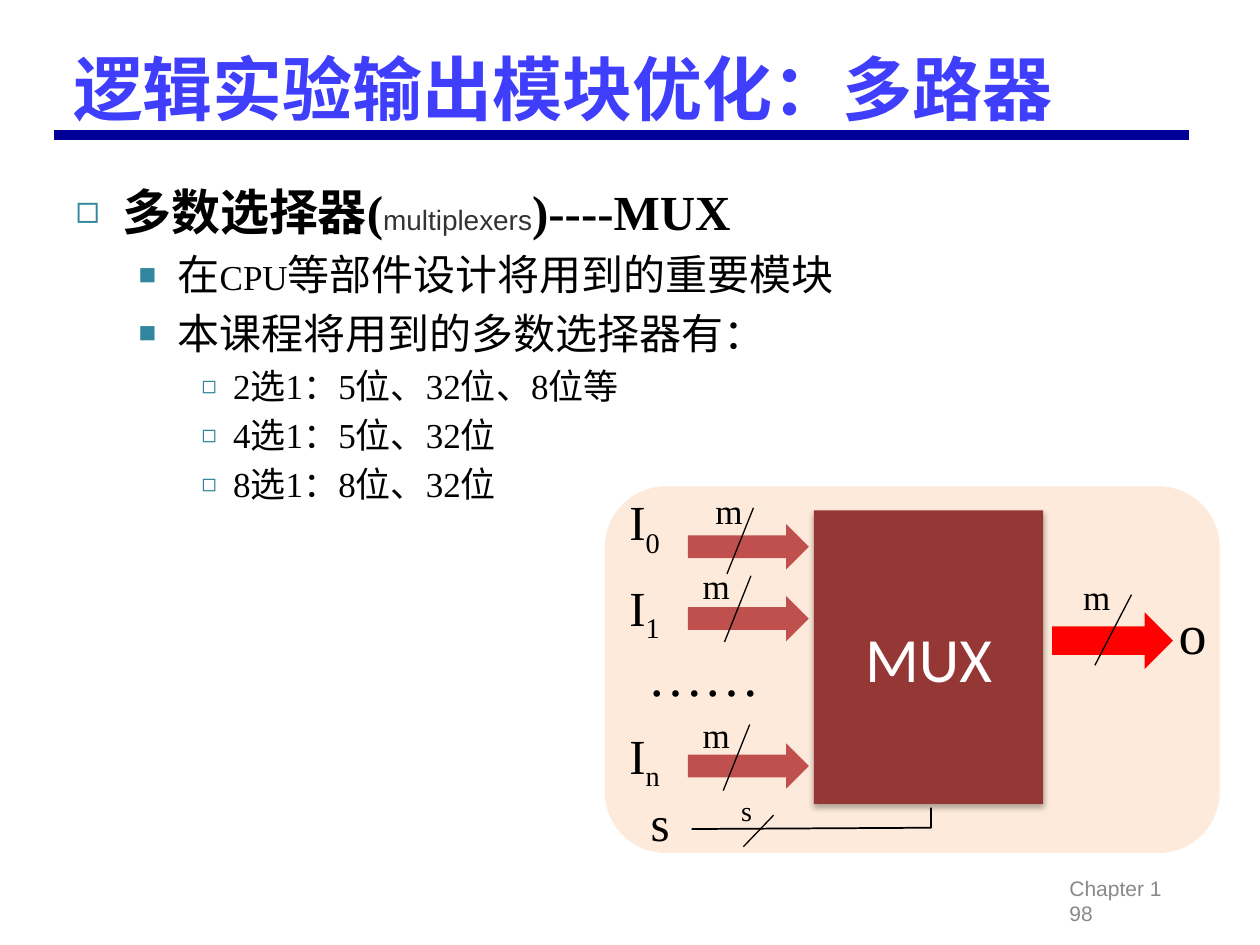
"""Builds a slide on multiplexers with a bullet list and a MUX block diagram."""
from dataclasses import dataclass

from lxml.etree import SubElement
from pptx import Presentation
from pptx.dml.color import RGBColor
from pptx.enum.shapes import MSO_CONNECTOR as Link, MSO_SHAPE as Shape
from pptx.enum.text import MSO_ANCHOR as Anchor, MSO_AUTO_SIZE as Fit, PP_ALIGN as Align
from pptx.oxml.ns import qn
from pptx.util import Emu, Inches, Pt

COLORS = {
    "title": "3E3EFC", "rule": "000099", "bullet": "31859C", "black": "000000",
    "gray": "333333", "footer": "898989", "panel": "FDEADA", "mux": "953735",
    "input": "C0504D", "output": "FF0000", "white": "FFFFFF",
}
SERIF, SANS = "Times New Roman", "Arial"
COLUMNS, ROWS = 100, 75

deck = Presentation()
deck.slide_width, deck.slide_height = Inches(10), Inches(7.5)
page = deck.slides.add_slide(deck.slide_layouts[1])


@dataclass
class Level:
    sign: str
    size: int
    indent: float
    hanging: float


@dataclass
class Item:
    level: int
    spans: list


@dataclass
class Input:
    index: str
    name_row: float
    arrow_row: float
    width_column: float
    width_row: float
    slash_column: float
    slash_row: float


LEVELS = [Level("◻", 80, 0.37, 0.37), Level("■", 70, 0.81, 0.31), Level("◻", 70, 1.25, 0.25)]
HEAD = {"size": 28, "bold": True}
ITEMS = [
    Item(0, [("多数选择器(", HEAD),
             ("multiplexers", {"size": 16, "font": SANS, "color": "gray"}),
             (")----MUX", HEAD)]),
    Item(1, [("在", {"size": 24}), ("CPU", {"size": 20}),
             ("等部件设计将用到的重要模块", {"size": 24})]),
    Item(1, [("本课程将用到的多数选择器有：", {"size": 24})]),
    Item(2, [("2选1：5位、32位、8位等", {"size": 20})]),
    Item(2, [("4选1：5位、32位", {"size": 20})]),
    Item(2, [("8选1：8位、32位", {"size": 20})]),
]
INPUTS = [
    Input("0", 39.6, 41.6, 54.1, 38.4, 59.8, 40.3),
    Input("1", 46.4, 47.3, 53.1, 44.4, 59.6, 45.7),
    Input("n", 58.1, 59, 53.1, 56.2, 59.5, 57.5),
]


def across(columns: float) -> Emu:
    """Turn grid columns into a length."""
    return Emu(round(deck.slide_width * columns / COLUMNS))


def down(rows: float) -> Emu:
    """Turn grid rows into a length."""
    return Emu(round(deck.slide_height * rows / ROWS))


def area(column: float, row: float, columns: float, rows: float) -> tuple:
    """Turn a grid cell range into left, top, width and height."""
    return across(column), down(row), across(columns), down(rows)


def rgb(name: str) -> RGBColor:
    """Look up a named colour."""
    return RGBColor.from_string(COLORS[name])


def write(para, text: str, size: float = 20, font: str = SERIF, color: str = "black",
          bold: bool = False, baseline: int = 0) -> None:
    """Add a formatted span to a paragraph."""
    span = para.add_run()
    span.text = text
    span.font.size, span.font.name, span.font.bold = Pt(size), font, bold
    span.font.color.rgb = rgb(color)
    if baseline:
        span.font._element.set("baseline", str(baseline * 1000))


def label(text: str, column: float, row: float, columns: float = 7.5, rows: float = 4.2,
          size: float = 20, subscript: str = "") -> None:
    """Place centred text, with an optional subscript."""
    frame = page.shapes.add_textbox(*area(column, row, columns, rows)).text_frame
    frame.word_wrap, frame.vertical_anchor = True, Anchor.MIDDLE
    para = frame.paragraphs[0]
    para.alignment = Align.CENTER
    write(para, text, size)
    if subscript:
        write(para, subscript, size, baseline=-25)


def block(kind: Shape, color: str, column: float, row: float, columns: float, rows: float):
    """Draw a filled shape without an outline."""
    box = page.shapes.add_shape(kind, *area(column, row, columns, rows))
    box.shadow.inherit = False
    box.fill.solid()
    box.fill.fore_color.rgb = rgb(color)
    box.line.fill.background()
    return box


def line(start: tuple, end: tuple, color: str = "black", width: float = 0.75) -> None:
    """Draw a straight line between two grid points."""
    link = page.shapes.add_connector(Link.STRAIGHT, across(start[0]), down(start[1]),
                                     across(end[0]), down(end[1]))
    link.line.color.rgb, link.line.width = rgb(color), Pt(width)
    SubElement(link._element.spPr, qn("a:effectLst"))


def add_bullet(para, level: Level) -> None:
    """Give a paragraph the bullet and indents of its level."""
    props = para._p.get_or_add_pPr()
    props.set("marL", str(Inches(level.indent)))
    props.set("indent", str(-Inches(level.hanging)))
    SubElement(SubElement(props, qn("a:buClr")), qn("a:srgbClr"), val=COLORS["bullet"])
    SubElement(props, qn("a:buSzPct"), val=str(level.size * 1000))
    SubElement(props, qn("a:buChar"), char=level.sign)


def add_shadow(box) -> None:
    """Cast a soft shadow straight down."""
    effects = box._element.spPr.find(qn("a:effectLst"))
    shadow = SubElement(effects, qn("a:outerShdw"), blurRad=str(Pt(3.5)),
                        dist=str(Pt(2.2)), dir="5400000", rotWithShape="0")
    tint = SubElement(shadow, qn("a:srgbClr"), val=COLORS["black"])
    SubElement(tint, qn("a:alpha"), val="32000")


def draw_texts() -> None:
    """Fill the title, the list and the footer."""
    line((4.3, 10.7), (94.4, 10.7), "rule", 6)
    title, body = page.shapes.title, page.placeholders[1]
    title.left, title.top, title.width, title.height = area(4.8, 2.6, 86.1, 8.7)
    body.left, body.top, body.width, body.height = area(5, 13.9, 90, 54.3)
    for holder in (title, body):
        holder.text_frame.auto_size = Fit.NONE
    title.text_frame.vertical_anchor = Anchor.MIDDLE
    heading = title.text_frame.paragraphs[0]
    heading.alignment = Align.LEFT
    write(heading, "逻辑实验输出模块优化：多路器", 40, color="title", bold=True)
    frame = body.text_frame
    for number, item in enumerate(ITEMS):
        para = frame.add_paragraph() if number else frame.paragraphs[0]
        para.level = item.level
        add_bullet(para, LEVELS[item.level])
        for text, style in item.spans:
            write(para, text, **style)
    frame.paragraphs[0].space_before = Pt(0)
    footer = page.shapes.add_textbox(*area(83.1, 69.5, 13.4, 4)).text_frame
    footer.word_wrap, footer.vertical_anchor = True, Anchor.MIDDLE
    para = footer.paragraphs[0]
    props = para._p.get_or_add_pPr()
    props.set("marL", str(Inches(0.08)))
    stops = SubElement(props, qn("a:tabLst"))
    SubElement(stops, qn("a:tab"), pos=str(Inches(0.95)), algn="l")
    write(para, "Chapter 1\t98", 12, SANS, "footer")


def draw_diagram() -> None:
    """Draw the multiplexer with its inputs, output and select line."""
    block(Shape.ROUNDED_RECTANGLE, "panel", 48, 38.6, 48.8, 29.1)
    mux = block(Shape.RECTANGLE, "mux", 64.6, 40.5, 18.2, 23.3)
    add_shadow(mux)
    mux.text_frame.vertical_anchor = Anchor.MIDDLE
    para = mux.text_frame.paragraphs[0]
    para.alignment = Align.CENTER
    write(para, "MUX", 36, "Calibri", "white")
    for entry in INPUTS:
        block(Shape.RIGHT_ARROW, "input", 54.6, entry.arrow_row, 9.6, 3.6)
        label("I", 47.4, entry.name_row, size=28, subscript=entry.index)
        label("m", entry.width_column, entry.width_row)
        line((entry.slash_column, entry.slash_row),
             (entry.slash_column - 2.1, entry.slash_row + 5.25))
    label("……", 47.6, 52.3, 16.5, 2.4, size=32)
    block(Shape.RIGHT_ARROW, "output", 83.5, 48.6, 9.6, 4.5)
    line((89.8, 47.2), (86.9, 52.8))
    label("m", 83.3, 45.2)
    label("o", 90.9, 48.1, size=32)
    label("s", 46.9, 63.1, 11, size=28)
    label("s", 55.5, 62.2, size=16)
    line((61.4, 64.7), (59, 67.2))
    builder = page.shapes.build_freeform(across(54.9), down(65.8))
    builder.add_line_segments([(across(73.9), down(65.7)), (across(73.9), down(64.1))], close=False)
    select = builder.convert_to_shape()
    select.shadow.inherit = False
    select.fill.background()
    select.line.color.rgb, select.line.width = rgb("black"), Pt(1)


if __name__ == "__main__":
    draw_texts()
    draw_diagram()
    deck.save("out.pptx")
